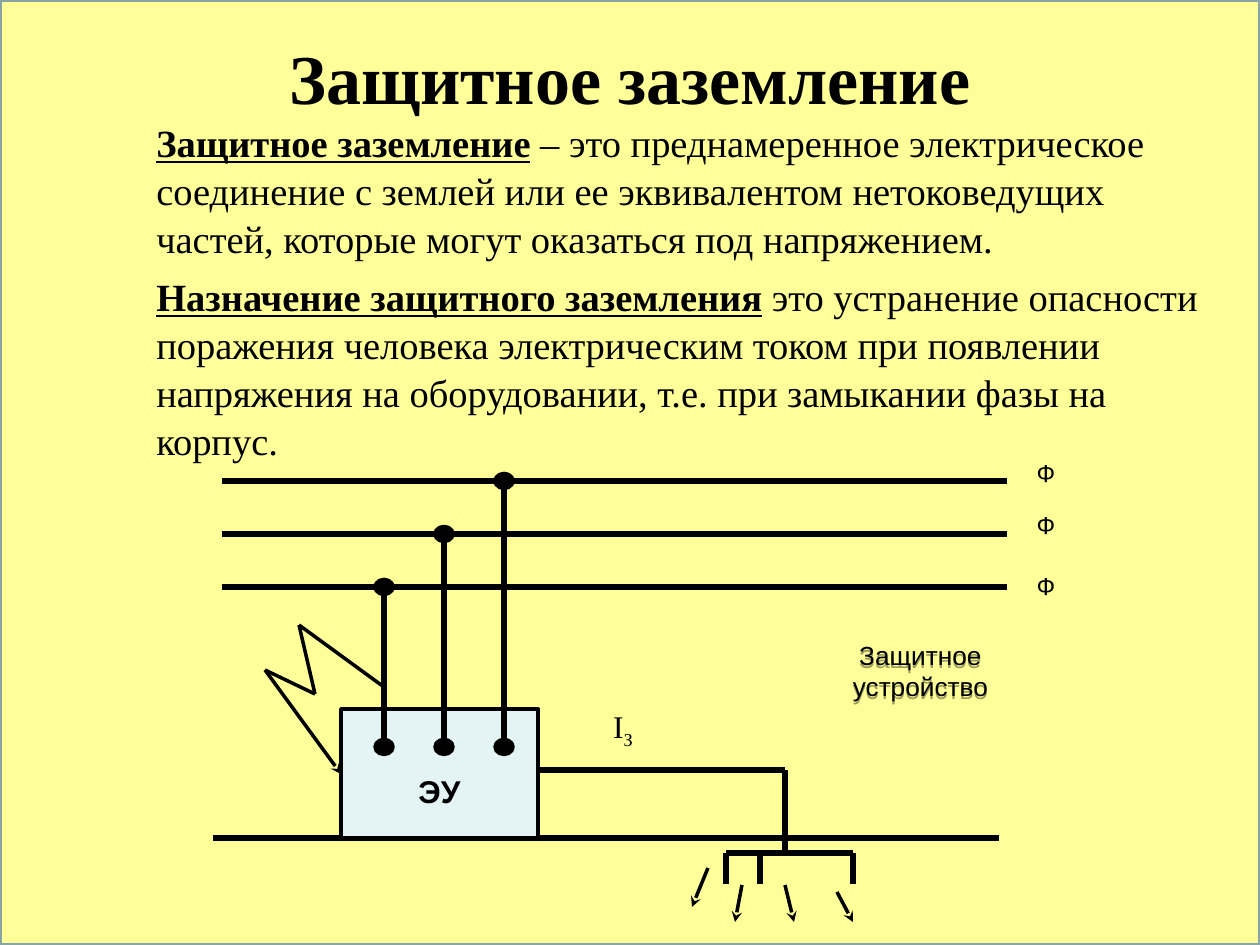
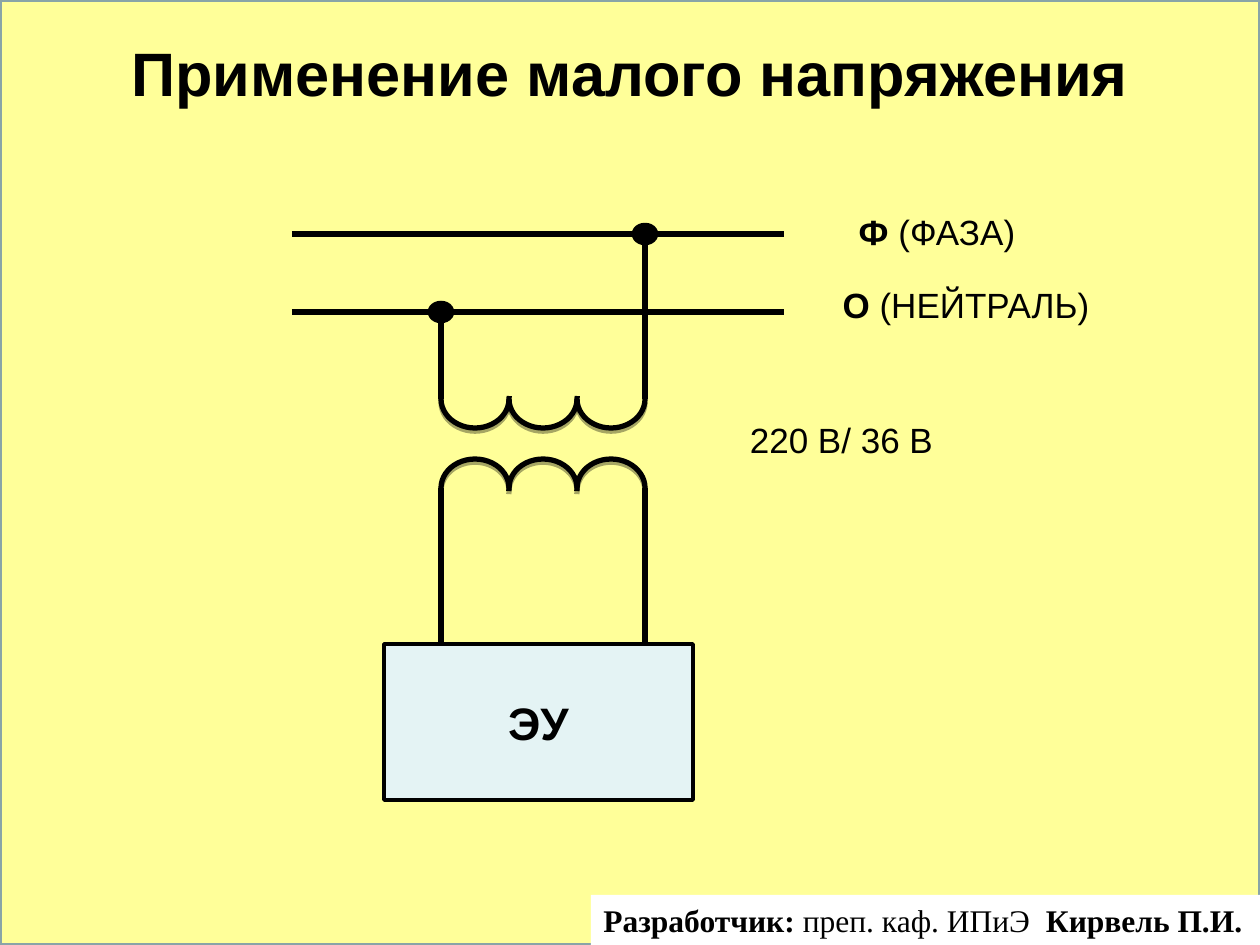
from itertools import pairwise

from lxml.etree import SubElement
from pptx import Presentation
from pptx.dml.color import RGBColor
from pptx.enum.shapes import MSO_CONNECTOR, MSO_SHAPE
from pptx.enum.text import MSO_ANCHOR as Anchor, PP_ALIGN as Align
from pptx.oxml.ns import qn
from pptx.util import Emu, Pt

BLACK = RGBColor(0x00, 0x00, 0x00)
WHITE = RGBColor(0xFF, 0xFF, 0xFF)
PAGE_YELLOW = RGBColor(0xFF, 0xFF, 0x99)
PAGE_BORDER = RGBColor(0x89, 0xA4, 0xA7)
DEVICE_BLUE = RGBColor(0xE4, 0xF3, 0xF4)
SERIF, SANS = "Times New Roman", "Arial"
PAGE_WIDTH, PAGE_HEIGHT = 1260, 945
WIRE, THIN = 3, 2
LOWER_HALF, UPPER_HALF = (0, 111), (108, 3)
BOLD, PLAIN = {"bold": True}, {}
TERM = {"bold": True, "underline": True}


def px(length):
    return Emu(round(length * 914400 / 126))


class Region:
    """Part of a slide; every position is relative to its top left corner."""

    def __init__(self, slide, left=0, top=0):
        self.shapes, self.left, self.top = slide.shapes, left, top

    def place(self, left, top, width, height):
        return [px(n) for n in (self.left + left, self.top + top, width, height)]

    def shape(self, kind, box, fill=None, line=None, weight=THIN):
        shape = self.shapes.add_shape(kind, *self.place(*box))
        shape.shadow.inherit = False
        if fill is None:
            shape.fill.background()
        else:
            shape.fill.solid()
            shape.fill.fore_color.rgb = fill
        if line is None:
            shape.line.fill.background()
        else:
            shape.line.color.rgb = line
            shape.line.width = Pt(weight)
        return shape

    def line(self, start, end, weight=WIRE, arrow=False):
        ends = [px(n) for x, y in (start, end) for n in (self.left + x, self.top + y)]
        connector = self.shapes.add_connector(MSO_CONNECTOR.STRAIGHT, *ends)
        connector.line.color.rgb = BLACK
        connector.line.width = Pt(weight)
        properties = connector._element.spPr
        if arrow:
            SubElement(properties.find(qn("a:ln")), qn("a:tailEnd"), type="stealth")
        SubElement(properties, qn("a:effectLst"))

    def dot(self, x, y, width, height):
        self.shape(MSO_SHAPE.OVAL, (x - width / 2, y - height / 2, width, height),
                   BLACK, BLACK)

    def text(self, box, paragraphs, size, font=SANS, wrap=True, **layout):
        text_box = self.shapes.add_textbox(*self.place(*box))
        write(text_box, paragraphs, size, font, word_wrap=wrap, **layout)

    def label(self, box, runs, size, font=SANS):
        self.text(box, [runs], size, font, wrap=False)


def write(shape, paragraphs, size, font=SANS, align=Align.CENTER, spacing=None,
          before=0, **frame_format):
    """Fill a shape with paragraphs, each a list of (text, font format) runs."""
    frame = shape.text_frame
    for name, value in frame_format.items():
        setattr(frame, name, value)
    for index, runs in enumerate(paragraphs):
        paragraph = frame.add_paragraph() if index else frame.paragraphs[0]
        paragraph.alignment = align
        paragraph.line_spacing = spacing
        if index:
            paragraph.space_before = Pt(before)
        for words, font_format in runs:
            run = paragraph.add_run()
            run.text = words
            values = {"name": font, "size": Pt(size), **font_format}
            for name, value in values.items():
                setattr(run.font, name, value)
            run.font.color.rgb = BLACK


def cast_shadow(shape, opacity, distance):
    effects = shape._element.spPr.find(qn("a:effectLst"))
    shadow = SubElement(effects, qn("a:outerShdw"), blurRad="0",
                        dist=str(Pt(distance)), dir="5400000", rotWithShape="0")
    color = SubElement(shadow, qn("a:srgbClr"), val=str(BLACK))
    SubElement(color, qn("a:alpha"), val=str(opacity * 1000))


def add_page(presentation, title, size, font, title_height):
    slide = presentation.slides.add_slide(presentation.slide_layouts[6])
    page = Region(slide)
    page.shape(MSO_SHAPE.RECTANGLE, (0, 0, PAGE_WIDTH, PAGE_HEIGHT),
               PAGE_YELLOW, PAGE_BORDER)
    page.text((63, 38, 1134, title_height), [[(title, BOLD)]], size, font,
              vertical_anchor=Anchor.MIDDLE, margin_top=0, margin_bottom=0)
    return slide


def add_equipment(region, box, size, top_margin=6):
    equipment = region.shape(MSO_SHAPE.RECTANGLE, box, DEVICE_BLUE, BLACK)
    write(equipment, [[("ЭУ", BOLD)]], size, vertical_anchor=Anchor.MIDDLE,
          margin_top=px(top_margin))


def add_definitions(region):
    region.text((0, 0, 1086, 340), [
        [("Защитное заземление", TERM),
         (" – это преднамеренное электрическое соединение с землей или ее "
          "эквивалентом нетоковедущих частей, которые могут оказаться под "
          "напряжением.", PLAIN)],
        [("Назначение защитного заземления", TERM),
         (" это устранение опасности поражения человека электрическим током "
          "при появлении напряжения на оборудовании, т.е. при замыкании фазы "
          "на корпус.", PLAIN)],
    ], 22, SERIF, align=Align.LEFT, spacing=1.04, before=5.6)


def add_ground_electrode(region):
    region.line((0, 0), (127, 0))
    for x in (0, 34, 127):
        region.line((x, 0), (x, 31))
    currents = [((-18, 15), (-34, 54)), ((16, 32), (9, 69)),
                ((59, 32), (68, 69)), ((111, 39), (127, 69))]
    for start, end in currents:
        region.line(start, end, THIN, arrow=True)


def add_grounding_diagram(slide, left, top):
    region = Region(slide, left, top)
    terminal_y, ground_y, conductor_y, electrode_y = 287, 378, 310, 393
    region.line((338, conductor_y), (585, conductor_y))
    region.line((585, conductor_y), (585, electrode_y))
    region.line((13, ground_y), (799, ground_y))
    add_equipment(region, (141, 249, 197, 129), 18, top_margin=42)
    for index, label_y in enumerate((-8, 44, 105)):
        phase_y, wire_x = 21 + 53 * index, 304 - 60 * index
        region.line((22, phase_y), (807, phase_y))
        region.line((wire_x, phase_y), (wire_x, terminal_y))
        for y in (phase_y, terminal_y):
            region.dot(wire_x, y, 18, 15)
        region.label((816, label_y, 60, 43), [("Ф", PLAIN)], 14)

    fault = [(184, 227), (99, 165), (115, 234), (65, 210), (141, 314)]
    for start, end in pairwise(fault):
        region.line(start, end, THIN, arrow=end == fault[-1])
    add_ground_electrode(Region(slide, left + 526, top + electrode_y))

    device = region.shape(MSO_SHAPE.RECTANGLE, (633, 176, 175, 69))
    write(device, [[("Защитное устройство", PLAIN)]], 15,
          vertical_anchor=Anchor.MIDDLE, word_wrap=True)
    cast_shadow(device, 38, 1.6)
    region.label((397, 241, 52, 55), [("I", PLAIN), ("З", PLAIN)], 18, SERIF)
    subscript = region.shapes[-1].text_frame.paragraphs[0].runs[-1]
    subscript._r.get_or_add_rPr().set("baseline", "-25000")


def add_coil(region, left, axis_y, half, turns=3, width=68, radius=29):
    for turn in range(turns):
        box = (left + turn * width, axis_y - radius, width, 2 * radius)
        arc = region.shape(MSO_SHAPE.ARC, box, line=BLACK, weight=WIRE)
        arc.adjustments[0], arc.adjustments[1] = half
        cast_shadow(arc, 35, 1.8)


def add_transformer_diagram(region):
    phase_y, neutral_y, primary_y, secondary_y, equipment_y = 30, 108, 195, 284, 440
    left_x, right_x = 149, 353
    for x, y in ((right_x, phase_y), (left_x, neutral_y)):
        region.line((0, y), (492, y))
        region.line((x, y), (x, primary_y))
        region.dot(x, y, 23, 19)
        region.line((x, secondary_y), (x, equipment_y))
    add_coil(region, left_x, primary_y, LOWER_HALF)
    add_coil(region, left_x, secondary_y, UPPER_HALF)
    add_equipment(region, (92, equipment_y, 309, 156), 26)
    region.label((514, 0, 262, 55), [("Ф ", BOLD), ("(ФАЗА)", PLAIN)], 20)
    region.label((514, 73, 320, 55), [("O ", BOLD), ("(НЕЙТРАЛЬ)", PLAIN)], 20)
    region.label((424, 208, 251, 55), [("220 В/ 36 B", PLAIN)], 20)


def add_author_band(region):
    band = region.shape(MSO_SHAPE.RECTANGLE, (0, 0, 669, 50), WHITE)
    write(band, [[("Разработчик:", BOLD), (" преп. каф. ИПиЭ  ", PLAIN),
                  ("Кирвель П.И.", BOLD)]], 18, SERIF, align=Align.LEFT,
          vertical_anchor=Anchor.TOP, word_wrap=True)


def main():
    presentation = Presentation()
    presentation.slide_width = px(PAGE_WIDTH)
    presentation.slide_height = px(PAGE_HEIGHT)

    grounding = add_page(presentation, "Защитное заземление", 40, SERIF, 77)
    add_definitions(Region(grounding, 144, 111))
    add_grounding_diagram(grounding, 200, 460)

    low_voltage = add_page(presentation, "Применение малого напряжения", 35, SANS, 68)
    add_transformer_diagram(Region(low_voltage, 292, 204))
    add_author_band(Region(low_voltage, 591, 895))

    presentation.save("out.pptx")


if __name__ == "__main__":
    main()
